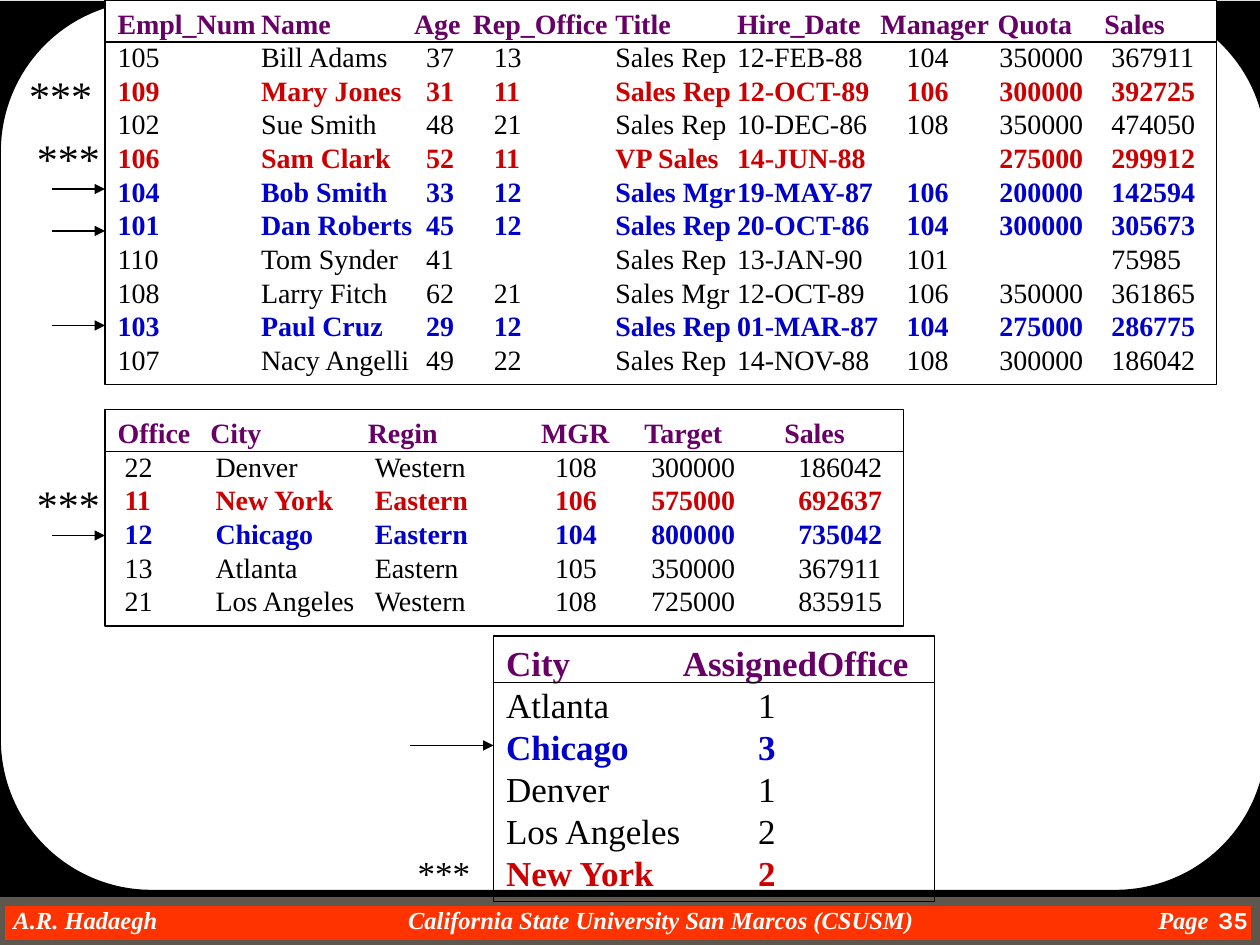
from dataclasses import dataclass

import pptx
import pptx.dml.color
import pptx.enum.shapes
import pptx.enum.text
import pptx.oxml
import pptx.oxml.ns
import pptx.util

Pt = pptx.util.Pt
ShapeKind = pptx.enum.shapes.MSO_SHAPE
Anchor = pptx.enum.text.MSO_ANCHOR
Align = pptx.enum.text.PP_ALIGN
NO_TABLE_STYLE = "{2D5ABB26-0587-4C30-8999-92F81FD0307C}"


@dataclass(frozen=True)
class Theme:
    serif: str = "Times New Roman"
    sans: str = "Karla"
    black: str = "000000"
    white: str = "FFFFFF"
    header: str = "660066"
    red: str = "CC0000"
    blue: str = "0000CC"
    footer: str = "FF3300"
    footer_edge: str = "5E574E"
    footer_size: int = 14
    table_size: int = 16
    large_size: int = 20
    mark_size: int = 24
    hairline: float = 0.75


THEME = Theme()
LINE_PITCH = 1.2
BOX_INSET = 7.2
HEADER_GAP = 5.2

# Each column is (left edge, indent of its values), from the left text edge.
EMPLOYEE_COLUMNS = [(0, 0), (82, 0), (169.4, 7), (203, 12), (284.5, 0),
                    (354, 0), (436, 15), (503, 1), (564, 4)]
EMPLOYEES = """Empl_Num|Name|Age|Rep_Office|Title|Hire_Date|Manager|Quota|Sales
105|Bill Adams|37|13|Sales Rep|12-FEB-88|104|350000|367911
109|Mary Jones|31|11|Sales Rep|12-OCT-89|106|300000|392725
102|Sue Smith|48|21|Sales Rep|10-DEC-86|108|350000|474050
106|Sam Clark|52|11|VP Sales|14-JUN-88||275000|299912
104|Bob Smith|33|12|Sales Mgr|19-MAY-87|106|200000|142594
101|Dan Roberts|45|12|Sales Rep|20-OCT-86|104|300000|305673
110|Tom Synder|41||Sales Rep|13-JAN-90|101||75985
108|Larry Fitch|62|21|Sales Mgr|12-OCT-89|106|350000|361865
103|Paul Cruz|29|12|Sales Rep|01-MAR-87|104|275000|286775
107|Nacy Angelli|49|22|Sales Rep|14-NOV-88|108|300000|186042"""

OFFICE_COLUMNS = [(0, 4), (53, 3), (143, 4), (242, 8), (301, 4), (381, 8)]
OFFICES = """Office|City|Regin|MGR|Target|Sales
22|Denver|Western|108|300000|186042
11|New York|Eastern|106|575000|692637
12|Chicago|Eastern|104|800000|735042
13|Atlanta|Eastern|105|350000|367911
21|Los Angeles|Western|108|725000|835915"""

CITY_COLUMNS = [(0, 0), (101, 43)]
CITIES = """City|AssignedOffice
Atlanta|1
Chicago|3
Denver|1
Los Angeles|2
New York|2"""


def rgb(color):
    return pptx.dml.color.RGBColor.from_string(color)


def write_text(frame, text, size=THEME.table_size, color=THEME.black, font=THEME.serif,
               bold=False, italic=False, align=Align.LEFT):
    paragraph = frame.paragraphs[0]
    paragraph.alignment = align
    # An empty cell takes its height from the end mark.
    paragraph._p.get_or_add_endParaRPr().set("sz", str(size * 100))
    if text:
        run = paragraph.add_run()
        run.text = text
        run.font.size, run.font.name = Pt(size), font
        run.font.bold, run.font.italic = bold, italic
        run.font.color.rgb = rgb(color)
    return paragraph


def add_box(slide, box, fill=None, line=None, width=THEME.hairline, kind=ShapeKind.RECTANGLE):
    shape = slide.shapes.add_shape(kind, *map(Pt, box))
    shape.shadow.inherit = False
    if fill:
        shape.fill.solid()
        shape.fill.fore_color.rgb = rgb(fill)
    else:
        shape.fill.background()
    if line:
        shape.line.color.rgb = rgb(line)
        shape.line.width = Pt(width)
    else:
        shape.line.fill.background()
    return shape


def add_label(slide, box, text, anchor=Anchor.TOP, wrap=False, **text_format):
    label = slide.shapes.add_textbox(*map(Pt, box))
    label.text_frame.word_wrap = wrap
    label.text_frame.vertical_anchor = anchor
    return label, write_text(label.text_frame, text, **text_format)


def add_level_line(slide, left, right, y, arrow=False):
    line = slide.shapes.add_connector(
        pptx.enum.shapes.MSO_CONNECTOR.STRAIGHT, Pt(left), Pt(y), Pt(right), Pt(y))
    line.line.color.rgb = rgb(THEME.black)
    line.line.width = Pt(THEME.hairline)
    namespace = pptx.oxml.ns.nsdecls("a")
    properties = line._element.spPr
    if arrow:
        properties.find(pptx.oxml.ns.qn("a:ln")).append(
            pptx.oxml.parse_xml(f'<a:tailEnd {namespace} type="triangle"/>'))
    properties.append(pptx.oxml.parse_xml(f"<a:effectLst {namespace}/>"))


def add_backdrop(slide, box):
    left, top, width, height = box
    add_box(slide, (left, top + 0.5, width, height - 28), fill=THEME.black)
    panel = add_box(slide, (left, top, width + 4, height - 31), THEME.white, THEME.black, 1,
                    ShapeKind.ROUNDED_RECTANGLE)
    panel.adjustments[0] = 0.17


def add_footer(slide, box):
    left, top, width, height = box
    add_box(slide, (left, top, width - 2, height), THEME.footer, THEME.footer_edge, 6)
    label, paragraph = add_label(
        slide, (left, top + 2, width - 23, 17),
        "A.R. Hadaegh\tCalifornia State University San Marcos (CSUSM)\tPage",
        anchor=Anchor.MIDDLE, wrap=True, size=THEME.footer_size, color=THEME.white,
        bold=True, italic=True)
    frame = label.text_frame
    frame.margin_left, frame.margin_right = Pt(7.7), 0
    frame.margin_top = frame.margin_bottom = 0
    stops = "".join(f'<a:tab pos="{Pt(position)}" algn="{align}"/>'
                    for position, align in ((370, "ctr"), (683, "r")))
    paragraph._p.get_or_add_pPr().append(pptx.oxml.parse_xml(
        f'<a:tabLst {pptx.oxml.ns.nsdecls("a")}>{stops}</a:tabLst>'))
    add_label(slide, (left + width - 54, top - 2, 54, height), "35",
              anchor=Anchor.MIDDLE, wrap=True, size=THEME.footer_size, color=THEME.white,
              font=THEME.sans, bold=True, align=Align.RIGHT)


def add_data_table(slide, box, data, columns, rule, row_colors,
                   size=THEME.table_size, fill=THEME.white):
    """Frame a table, colour its marked rows, and rule off the header."""
    left, top, width, height = box
    add_box(slide, box, fill, THEME.black)
    rows = [line.split("|") for line in data.splitlines()]
    pitch = size * LINE_PITCH
    table_width = width - BOX_INSET
    frame = slide.shapes.add_table(
        len(rows), len(columns), Pt(left + BOX_INSET), Pt(top), Pt(table_width),
        Pt(HEADER_GAP + pitch * len(rows)))
    table = frame.table
    table.first_row = table.horz_banding = False
    table._tbl.tblPr.find(pptx.oxml.ns.qn("a:tableStyleId")).text = NO_TABLE_STYLE
    edges = [start for start, _ in columns] + [table_width]
    for column, start, end in zip(table.columns, edges, edges[1:]):
        column.width = Pt(end - start)
    for row_index, values in enumerate(rows):
        is_header = row_index == 0
        gap = HEADER_GAP if is_header else 0
        color = THEME.header if is_header else row_colors.get(values[0], THEME.black)
        table.rows[row_index].height = Pt(pitch + gap)
        for column_index, value in enumerate(values):
            cell = table.cell(row_index, column_index)
            cell.fill.background()
            cell.margin_left = Pt(0 if is_header else columns[column_index][1])
            cell.margin_top = Pt(gap)
            cell.margin_right = cell.margin_bottom = 0
            write_text(cell.text_frame, value, size=size, color=color,
                       bold=color != THEME.black)
    add_level_line(slide, left, left + width, top + rule)


def main():
    presentation = pptx.Presentation()
    presentation.slide_width, presentation.slide_height = Pt(720), Pt(540)
    slide = presentation.slides.add_slide(presentation.slide_layouts[6])

    add_footer(slide, (0, 515, 720, 25))
    add_backdrop(slide, (0, 0, 720, 540))
    red, blue = THEME.red, THEME.blue
    add_data_table(slide, (60, 234, 456.5, 123.8), OFFICES, OFFICE_COLUMNS, 24,
                   {"11": red, "12": blue})
    add_data_table(slide, (60, 0, 635, 219.6), EMPLOYEES, EMPLOYEE_COLUMNS, 24,
                   {"109": red, "106": red, "104": blue, "101": blue, "103": blue})
    add_data_table(slide, (282, 363.4, 252, 152), CITIES, CITY_COLUMNS, 26.6,
                   {"Chicago": blue, "New York": red}, size=THEME.large_size, fill=None)

    add_level_line(slide, 234, 282, 426, arrow=True)
    for y in (108, 132, 186, 306):
        add_level_line(slide, 30, 60, y, arrow=True)
    add_label(slide, (231.5, 483, 46, 31), "***", size=THEME.large_size)
    for left, top in ((14, 270), (9.5, 36), (14, 72)):
        add_label(slide, (left, top, 54, 36), "***", size=THEME.mark_size)

    presentation.save("out.pptx")


if __name__ == "__main__":
    main()
